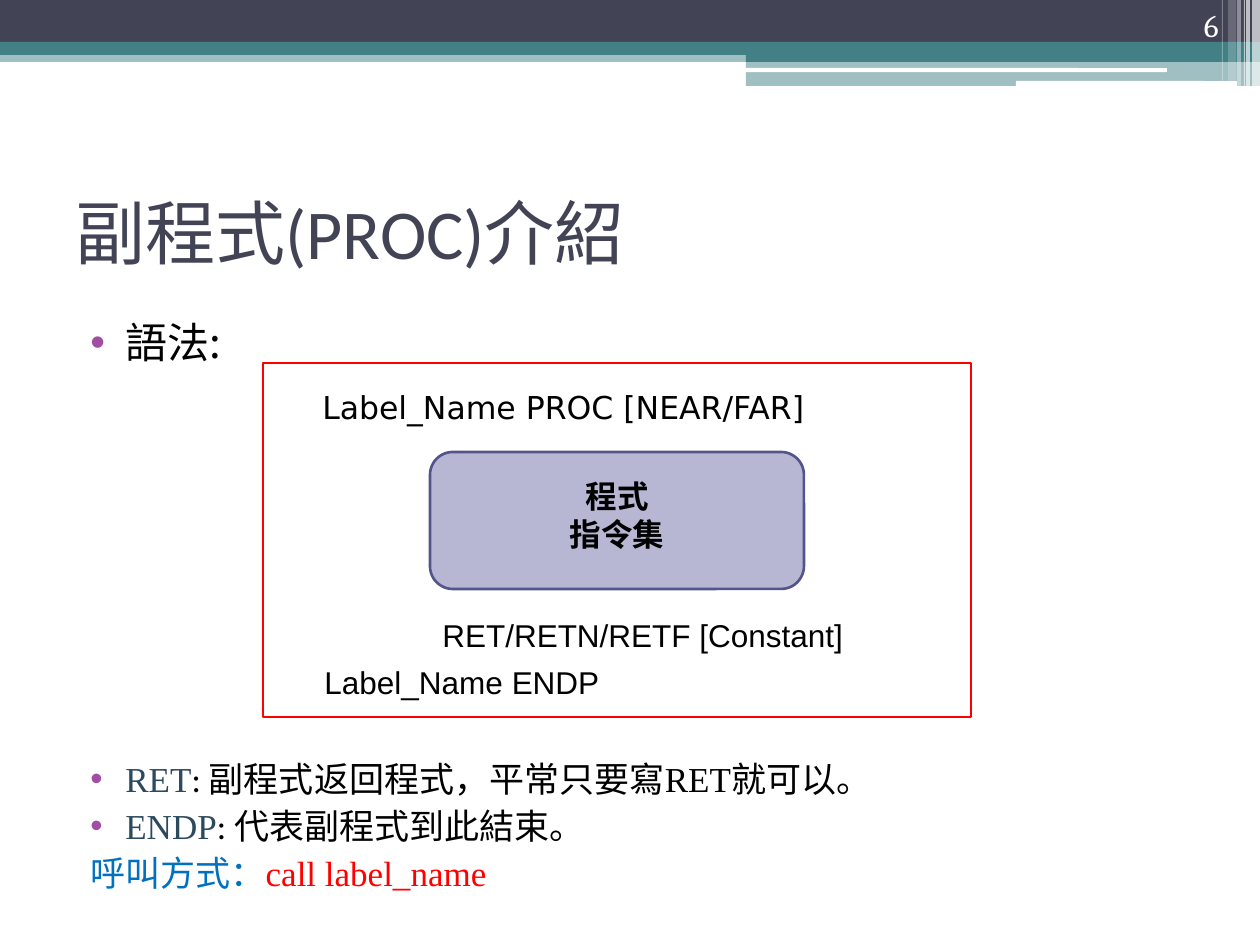
from dataclasses import dataclass

from lxml import etree
from pptx import Presentation
from pptx.dml.color import RGBColor
from pptx.enum.shapes import MSO_SHAPE
from pptx.enum.text import MSO_ANCHOR, PP_ALIGN
from pptx.oxml.ns import qn
from pptx.util import Emu, Pt

RECTANGLE, ROUNDED = MSO_SHAPE.RECTANGLE, MSO_SHAPE.ROUNDED_RECTANGLE
TOP, MIDDLE, BOTTOM = MSO_ANCHOR.TOP, MSO_ANCHOR.MIDDLE, MSO_ANCHOR.BOTTOM
LEFT, CENTER, RIGHT = PP_ALIGN.LEFT, PP_ALIGN.CENTER, PP_ALIGN.RIGHT
PIXEL = 914400 / 126


@dataclass(frozen=True)
class Theme:
    """Colours, fonts and type sizes of the slide."""
    navy: str = "424456"
    teal: str = "438086"
    white: str = "FFFFFF"
    black: str = "000000"
    red: str = "FF0000"
    blue: str = "0070C0"
    keyword: str = "2B4A5E"
    bullet: str = "A04DA3"
    block: str = "B7B7D4"
    block_line: str = "53548A"
    cjk: str = "Noto Sans CJK SC"
    sans: str = "Arial"
    wide: str = "DejaVu Sans"
    serif: str = "Times New Roman"
    heading: str = "Calibri"
    number: str = "Cambria"
    title_size: int = 40
    lead_size: int = 24
    body_size: int = 20
    label_size: int = 18


theme = Theme()


def add_box(kind, box, fill=None, line=None, opacity=100):
    """Add a preset shape at a pixel box, with optional fill, line and opacity."""
    shape = slide.shapes.add_shape(kind, *[Emu(round(v * PIXEL)) for v in box])
    shape.shadow.inherit = False
    if fill:
        shape.fill.solid()
        shape.fill.fore_color.rgb = RGBColor.from_string(fill)
        if opacity < 100:
            color = shape.fill._xPr.find(qn("a:solidFill"))[0]
            etree.SubElement(color, qn("a:alpha"), val=str(opacity * 1000))
    else:
        shape.fill.background()
    if line:
        shape.line.color.rgb = RGBColor.from_string(line)
        shape.line.width = Pt(1.5)
    else:
        shape.line.fill.background()
    return shape


def write_text(shape, box, paragraphs, size, anchor=TOP, align=LEFT, bold=False):
    """Place a text shape and fill it with paragraphs of (text, font, colour) runs."""
    shape.left, shape.top, shape.width, shape.height = [
        Emu(round(v * PIXEL)) for v in box]
    frame = shape.text_frame
    frame.word_wrap = True
    frame.vertical_anchor = anchor
    for index, runs in enumerate(paragraphs):
        paragraph = frame.paragraphs[0] if index == 0 else frame.add_paragraph()
        paragraph.alignment = align
        for text, font, color in runs:
            run = paragraph.add_run()
            run.text = text
            run.font.name = font
            run.font.size = Pt(size)
            run.font.bold = bold
            run.font.color.rgb = RGBColor.from_string(color)
            etree.SubElement(run.font._element, qn("a:ea"), typeface=theme.cjk)
    return frame


presentation = Presentation()
presentation.slide_width = Emu(round(1260 * PIXEL))
presentation.slide_height = Emu(round(945 * PIXEL))
slide = presentation.slides.add_slide(presentation.slide_layouts[5])

# Header bands
for kind, box, fill, opacity in [
    (RECTANGLE, (0, 50, 1260, 12), theme.teal, 50),
    (RECTANGLE, (0, 0, 1260, 43), theme.navy, 100),
    (RECTANGLE, (0, 42, 1260, 13), theme.teal, 100),
    (RECTANGLE, (746, 49, 514, 13), theme.teal, 100),
    (RECTANGLE, (746, 61, 514, 25), theme.teal, 50),
    (ROUNDED, (745, 68, 422, 4), theme.white, 100),
    (ROUNDED, (1016, 81, 221, 5), theme.white, 100),
]:
    add_box(kind, box, fill, opacity=opacity)

# Pale stripes at the right end of the header
for left, width, height, opacity in [
    (1252, 8, 86, 65), (1246, 4, 86, 65), (1244, 1, 86, 60),
    (1237, 4, 86, 40), (1228, 8, 81, 20), (1222, 1, 81, 30),
]:
    add_box(RECTANGLE, (left, 0, width, height), theme.white, opacity=opacity)

write_text(slide.shapes.title, (63, 158, 1134, 147),
           [[("副程式(PROC)介紹", theme.heading, theme.navy)]],
           theme.title_size, MIDDLE)

# Body text, with a gap left for the syntax diagram
body = write_text(slide.shapes.add_textbox(0, 0, 0, 0), (63, 310, 1134, 596), [
    [("語法:", theme.cjk, theme.black)],
    [("RET", theme.serif, theme.keyword), (": ", theme.heading, theme.black),
     ("副程式返回程式，平常只要寫", theme.cjk, theme.black),
     ("RET", theme.serif, theme.black), ("就可以。", theme.cjk, theme.black)],
    [("ENDP", theme.serif, theme.keyword), (": ", theme.heading, theme.black),
     ("代表副程式到此結束。", theme.cjk, theme.black)],
    [("呼叫方式：", theme.cjk, theme.blue),
     ("call label_name", theme.serif, theme.red)],
], theme.body_size)
body.paragraphs[0].runs[0].font.size = Pt(theme.lead_size)
for paragraph, line_height, gap, bulleted in zip(
        body.paragraphs, (29, 24, 24, 24), (0, 223, 3, 3), (True, True, True, False)):
    paragraph.line_spacing = Pt(line_height)
    paragraph.space_before = Pt(gap)
    properties = paragraph._p.get_or_add_pPr()
    properties.set("marL", str(round((50 if bulleted else 15) * PIXEL)))
    properties.set("indent", str(round((-35 if bulleted else 0) * PIXEL)))
    if bulleted:
        bullet_color = etree.SubElement(properties, qn("a:buClr"))
        etree.SubElement(bullet_color, qn("a:srgbClr"), val=theme.bullet)
        etree.SubElement(properties, qn("a:buFont"), typeface=theme.sans)
        etree.SubElement(properties, qn("a:buChar"), char="•")

# Syntax diagram
add_box(ROUNDED, (430, 452, 374, 137), theme.block, theme.block_line)
add_box(RECTANGLE, (263, 363, 708, 354), line=theme.red)

for box, lines, font, color, anchor, align, bold in [
    ((1126, 0, 105, 50), ["6"], theme.number, theme.white, BOTTOM, RIGHT, False),
    ((489, 471, 256, 89), ["程式", "指令集"], theme.sans, theme.black, TOP, CENTER, True),
    ((430, 610, 433, 50), ["RET/RETN/RETF [Constant]"], theme.sans, theme.black,
     TOP, LEFT, False),
    ((312, 657, 433, 50), ["Label_Name ENDP"], theme.sans, theme.black, TOP, LEFT, False),
    ((310, 382, 566, 50), ["Label_Name PROC [NEAR/FAR]"], theme.wide, theme.black,
     TOP, LEFT, False),
]:
    write_text(slide.shapes.add_textbox(0, 0, 0, 0), box,
               [[(line, font, color)] for line in lines],
               theme.label_size, anchor, align, bold)

presentation.save("out.pptx")
